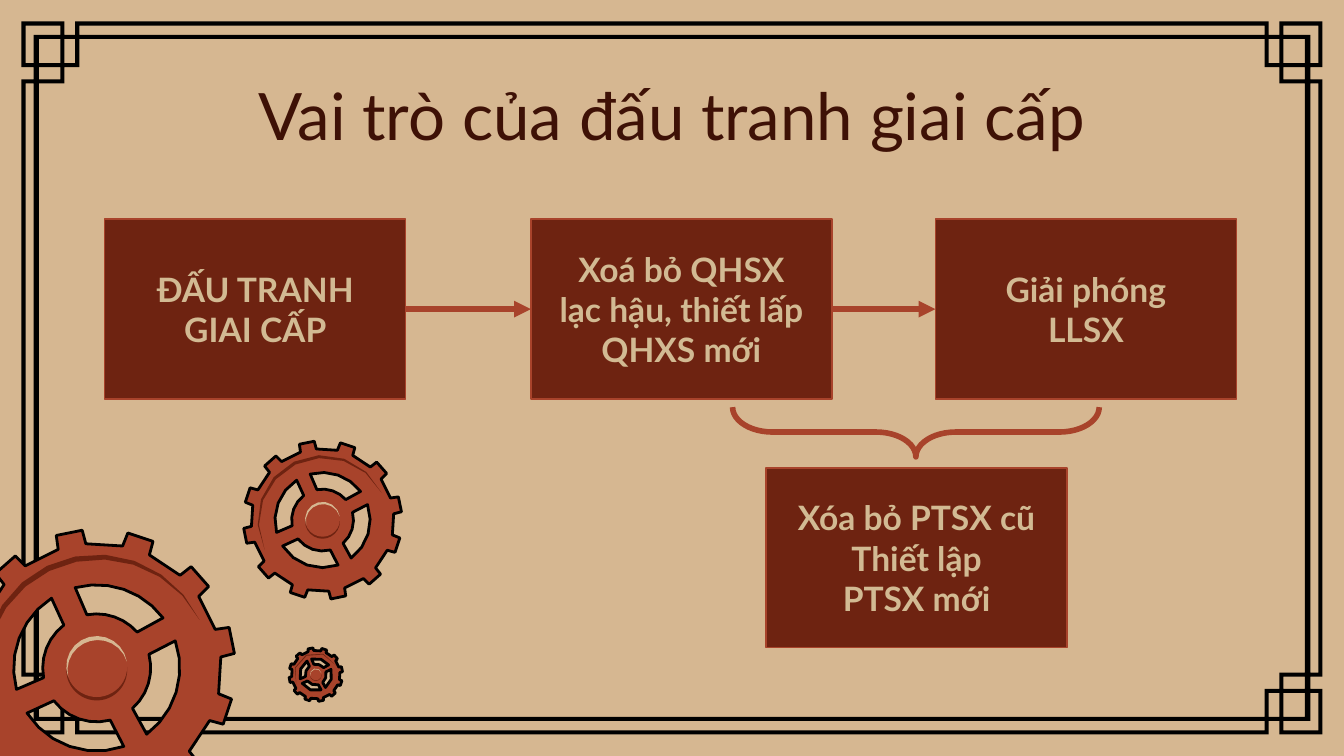
import math
from pptx import Presentation
from pptx.dml.color import RGBColor
from pptx.enum.shapes import MSO_CONNECTOR, MSO_SHAPE
from pptx.enum.text import MSO_ANCHOR, MSO_AUTO_SIZE, PP_ALIGN
from pptx.oxml import parse_xml
from pptx.oxml.ns import nsdecls, qn
from pptx.util import Inches, Pt

RECTANGLE, OVAL, BRACE = MSO_SHAPE.RECTANGLE, MSO_SHAPE.OVAL, MSO_SHAPE.LEFT_BRACE
STRAIGHT, MIDDLE, CENTER = MSO_CONNECTOR.STRAIGHT, MSO_ANCHOR.MIDDLE, PP_ALIGN.CENTER
COLORS = {
    name: RGBColor.from_string(code)
    for name, code in {
        "sand": "D6B791", "text": "D2BA93", "title": "3E1106",
        "maroon": "6E2311", "rust": "A8432B", "black": "000000",
    }.items()
}

deck = Presentation()
deck.slide_width, deck.slide_height = Inches(10), Inches(5.625)
column, row = deck.slide_width / 100, deck.slide_height / 100
unit = deck.slide_width / 10
right, bottom = 10, deck.slide_height / unit
page = deck.slides.add_slide(deck.slide_layouts[5])
page.background.fill.solid()
page.background.fill.fore_color.rgb = COLORS["sand"]


def draw_outline(shapes, contours, color, outline=None):
    first, *others = [[(x * unit, y * unit) for x, y in contour] for contour in contours]
    builder = shapes.build_freeform(*first[0], scale=1.0)
    builder.add_line_segments(first[1:], close=True)
    for contour in others:
        builder.move_to(*contour[0])
        builder.add_line_segments(contour[1:], close=True)
    shape = builder.convert_to_shape()
    shape.shadow.inherit = False
    shape.fill.solid()
    shape.fill.fore_color.rgb = COLORS[color]
    if outline:
        shape.line.color.rgb = COLORS[outline]
        shape.line.width = Pt(1.5)
    else:
        shape.line.fill.background()


def arc(center, radius, start, end, steps, dip=0):
    points = []
    for step in range(steps + 1):
        angle = math.radians(start + (end - start) * step / steps)
        reach = radius - dip * math.sin(math.pi * step / steps)
        points.append((center[0] + reach * math.cos(angle), center[1] + reach * math.sin(angle)))
    return points


outer_corner = [(0.16, 0.59), (0.25, 0.59), (0.25, 0.5), (0.16, 0.5), (0.16, 0.16),
                (0.48, 0.16), (0.48, 0.26), (0.56, 0.26), (0.56, 0.16)]
inner_corner = [(0.29, 0.62), (0.48, 0.62), (0.48, 0.5), (0.59, 0.5), (0.59, 0.29)]
corner_holes = [[(0.19, 0.47), (0.25, 0.47), (0.25, 0.26), (0.45, 0.26), (0.45, 0.19), (0.19, 0.19)]]
for x1, y1, x2, y2 in [(0.29, 0.29, 0.45, 0.47), (0.48, 0.29, 0.56, 0.47), (0.29, 0.5, 0.45, 0.59)]:
    corner_holes.append([(x1, y1), (x2, y1), (x2, y2), (x1, y2)])
outer_ring, inner_ring, holes = [], [], []
for flip_x, flip_y in [(False, False), (True, False), (True, True), (False, True)]:
    direction = -1 if flip_x != flip_y else 1
    mirrored = [
        [(right - x if flip_x else x, bottom - y if flip_y else y) for x, y in contour]
        for contour in [outer_corner, inner_corner, *corner_holes]
    ]
    outer_ring += mirrored[0][::direction]
    inner_ring += mirrored[1][::direction]
    holes += mirrored[2:]
for near, far in [(0.19, 0.26), (bottom - 0.26, bottom - 0.19)]:
    holes.append([(0.59, near), (right - 0.59, near), (right - 0.59, far), (0.59, far)])
for near, far in [(0.19, 0.25), (right - 0.25, right - 0.19)]:
    holes.append([(near, 0.62), (far, 0.62), (far, bottom - 0.62), (near, bottom - 0.62)])
draw_outline(page.shapes, [outer_ring, inner_ring, *holes], "black")

title = page.shapes.title
title.left, title.top = round(7.8 * column), round(10.5 * row)
title.width, title.height = round(84.4 * column), round(9.2 * row)
frame = title.text_frame
frame.auto_size = MSO_AUTO_SIZE.NONE
frame.vertical_anchor = MIDDLE
frame.margin_left = frame.margin_right = frame.margin_top = frame.margin_bottom = Inches(0.1)
frame.text = "Vai trò của đấu tranh giai cấp"
para = frame.paragraphs[0]
para.alignment = CENTER
para.font.name, para.font.size = "Lato", Pt(35)
para.font.color.rgb = COLORS["title"]

boxes = []
for left, top, lines in [
    (7.8, 29, ["ĐẤU TRANH", "GIAI CẤP"]),
    (39.5, 29, ["Xoá bỏ QHSX", "lạc hậu, thiết lấp QHXS mới"]),
    (69.6, 29, ["Giải phóng", "LLSX"]),
    (57, 61.9, ["Xóa bỏ PTSX cũ", "Thiết lập", "PTSX mới"]),
]:
    box = page.shapes.add_shape(
        RECTANGLE, round(left * column), round(top * row), round(22.4 * column), round(23.8 * row))
    box.shadow.inherit = False
    box.fill.solid()
    box.fill.fore_color.rgb = COLORS["maroon"]
    box.line.color.rgb = COLORS["rust"]
    box.line.width = Pt(0.75)
    box.text_frame.word_wrap = True
    box.text_frame.vertical_anchor = MIDDLE
    box.text_frame.text = "\n".join(lines)
    for para in box.text_frame.paragraphs:
        para.alignment = CENTER
        para.font.name, para.font.size, para.font.bold = "Lato", Pt(18), True
        para.font.color.rgb = COLORS["text"]
    boxes.append(box)

for source, target in zip(boxes[:2], boxes[1:3]):
    arrow = page.shapes.add_connector(STRAIGHT, 0, 0, 0, 0)
    arrow.begin_connect(source, 3)
    arrow.end_connect(target, 1)
    arrow.line.color.rgb = COLORS["rust"]
    arrow.line.width = Pt(3)
    properties = arrow._element.spPr
    properties.find(qn("a:ln")).append(parse_xml(f'<a:tailEnd {nsdecls("a")} type="triangle"/>'))
    properties.append(parse_xml(f'<a:effectLst {nsdecls("a")}/>'))

brace = page.shapes.add_shape(
    BRACE, round(66.3 * column), round(32.9 * row), round(3.7 * column), round(48.5 * row))
brace.rotation = 270
brace.adjustments[0], brace.adjustments[1] = 0.8, 0.5
brace.shadow.inherit = False
brace.fill.background()
brace.line.color.rgb = COLORS["rust"]
brace.line.width = Pt(3)

spokes = [-114, -28, 62, 156, 246]
outer_gap, inner_gap = 9, 13.5
for x, y, radius, steps in [(0.72, 4.97, 1.03, 12), (2.4, 3.87, 0.59, 8), (2.35, 5.02, 0.2, 4)]:
    gear = page.shapes.add_group_shape().shapes
    center = (x, y)
    rim = []
    for tooth in range(12):
        angle = 30 * tooth - 41.5
        rim += arc(center, radius, angle - 5.5, angle + 5.5, 1)
        rim += arc(center, 0.9 * radius, angle + 6.5, angle + 23.5, 1)
    windows = [
        arc(center, 0.6 * radius, first + outer_gap, second - outer_gap, steps // 2)
        + arc(center, 0.39 * radius, second - inner_gap, first + inner_gap, steps // 2)
        for first, second in zip(spokes, spokes[1:])
    ]
    draw_outline(gear, [rim, *windows], "rust", "black")

    hub = 0.22 * radius
    for shift, color in [(0.015, "maroon"), (-0.01, "rust")]:
        disc = gear.add_shape(
            OVAL, round((x - hub) * unit), round((y - hub + shift * radius) * unit),
            round(2 * hub * unit), round(2 * hub * unit))
        disc.shadow.inherit = False
        disc.fill.solid()
        disc.fill.fore_color.rgb = COLORS[color]
        disc.line.fill.background()
    for middle, reach, start, end, dip, color in [
        (center, 0.82 * radius, -207, -25, 0.04, "maroon"),
        ((x, y - 0.01 * radius), hub, -200, -9, 0.03, "sand"),
    ]:
        crescent = (arc(middle, reach, start, end, steps)
                    + arc(middle, reach, end, start, steps, dip * radius))
        draw_outline(gear, [crescent], color)

deck.save("out.pptx")
